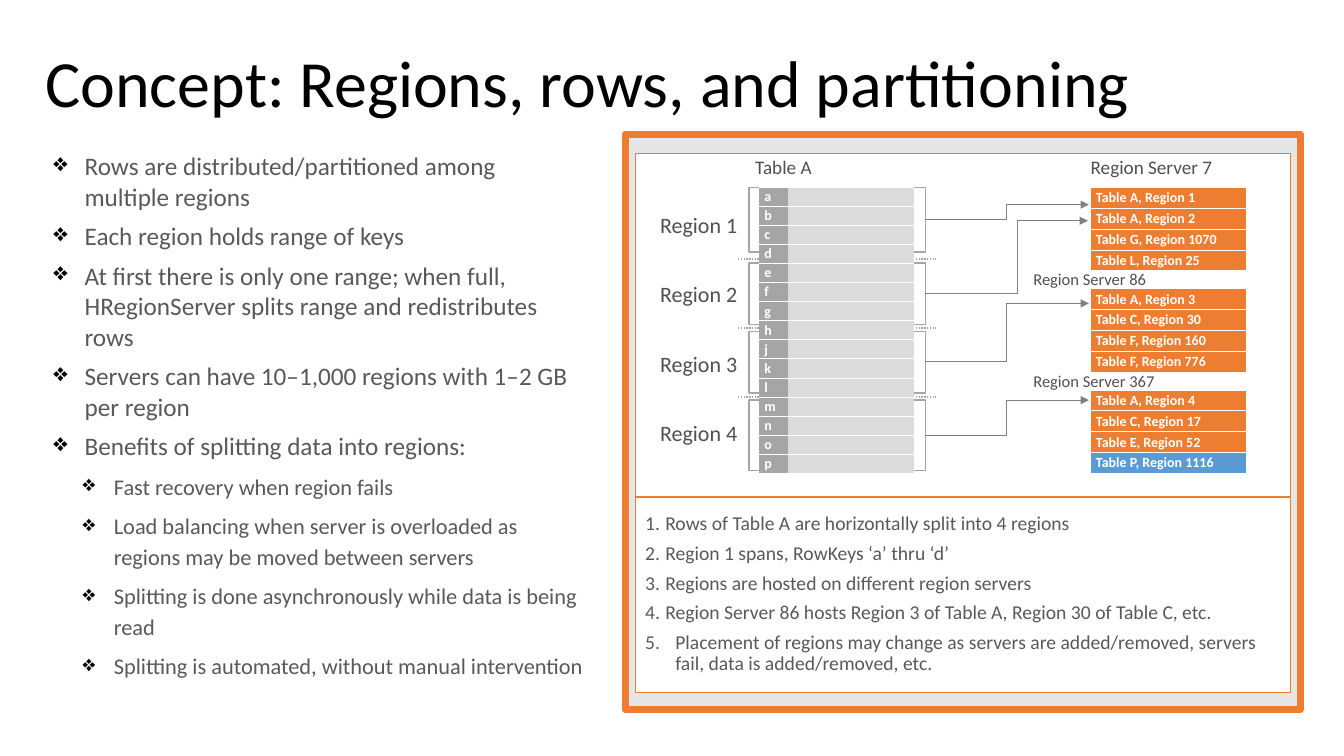
from lxml.etree import SubElement
from pptx import Presentation
from pptx.dml.color import RGBColor
from pptx.enum.dml import MSO_LINE
from pptx.enum.shapes import MSO_CONNECTOR as Link, MSO_SHAPE as Preset
from pptx.enum.text import MSO_ANCHOR as Anchor, PP_ALIGN as Align
from pptx.oxml import parse_xml
from pptx.oxml.ns import nsdecls, qn
from pptx.util import Inches, Pt

ORANGE, BLUE, WHITE, GREY = "ED7D31", "5B9BD5", "FFFFFF", "A5A5A5"
BODY, LABEL = "595959", "505050"


def colour(value):
    return RGBColor.from_string(value)


def grid(*cells):
    """Columns or rows of a grid with ten cells to the inch."""
    return [Inches(cell / 10) for cell in cells]


def assign(target, formats):
    for name, value in formats.items():
        setattr(target, name, value)


class SlideBuilder:
    font = "Calibri"

    def __init__(self, page):
        self.page = page

    def line(self, line, shade, width, dash=None):
        line.color.rgb = colour(shade)
        assign(line, {"width": Pt(width), "dash_style": dash})

    def panel(self, place, fill, edge, width):
        box = self.page.shapes.add_shape(Preset.RECTANGLE, *grid(*place))
        box.shadow.inherit = False
        box.fill.solid()
        box.fill.fore_color.rgb = colour(fill)
        self.line(box.line, edge, width)
        return box

    def frame(self, frame, margins, anchor=Anchor.TOP, wrap=True):
        left, top = grid(*margins)
        assign(frame, {"margin_left": left, "margin_right": left, "margin_top": top,
                       "margin_bottom": top, "vertical_anchor": anchor, "word_wrap": wrap})

    def add_span(self, para, text, size, shade, bold=False, **formats):
        assign(para, formats)
        span = para.add_run()
        span.text = text
        assign(span.font, {"name": self.font, "size": Pt(size), "bold": bold})
        span.font.color.rgb = colour(shade)

    def text(self, place, text, size, shade, margins=(0, 0), anchor=Anchor.MIDDLE,
             wrap=False, **formats):
        box = self.page.shapes.add_textbox(*grid(*place))
        self.frame(box.text_frame, margins, anchor, wrap)
        self.add_span(box.text_frame.paragraphs[0], text, size, shade, **formats)

    def bullets(self, box, items, margins, spacing, mark):
        """Each item holds a text, a size, a level, a left indent and a hang in columns."""
        frame = box.text_frame
        self.frame(frame, margins)
        for index, (text, size, level, indent, hang) in enumerate(items):
            para = frame.paragraphs[0] if index == 0 else frame.add_paragraph()
            properties = para._p.get_or_add_pPr()
            left, first = grid(indent, -hang)
            for name, value in {"marL": left, "indent": first}.items():
                properties.set(name, str(value))
            if mark:
                ink = SubElement(properties, qn("a:buClr"))
                SubElement(ink, qn("a:srgbClr"), val="000000")
                SubElement(properties, qn("a:buChar"), char=mark)
            else:
                SubElement(properties, qn("a:buAutoNum"), type="arabicPeriod")
            self.add_span(para, text, size, BODY, level=level, alignment=Align.LEFT,
                          line_spacing=spacing, space_after=Pt(6))

    def table(self, place, widths, rows, margins, anchor):
        """Each row is a list of (text, fill) pairs."""
        graphic = self.page.shapes.add_table(len(rows), len(widths), *grid(*place))
        table = graphic.table
        assign(table, {"first_row": False, "horz_banding": False})
        for column, width in zip(table.columns, grid(*widths)):
            column.width = width
        for row, values in zip(table.rows, rows):
            row.height, = grid(place[3] / len(rows))
            for cell, (text, fill) in zip(row.cells, values):
                left, top = grid(*margins)
                assign(cell, {"margin_left": left, "margin_right": left, "margin_top": top,
                              "margin_bottom": top, "vertical_anchor": anchor})
                cell.fill.solid()
                cell.fill.fore_color.rgb = colour(fill)
                para = cell.text_frame.paragraphs[0]
                if text:
                    self.add_span(para, text, 10, WHITE, bold=True)
                else:
                    SubElement(para._p, qn("a:endParaRPr"), sz="1000")
                self.borders(cell)

    def borders(self, cell):
        white = f'<a:solidFill><a:srgbClr val="{WHITE}"/></a:solidFill>'
        for index, side in enumerate("LRTB"):
            paint = white if side in "TB" else "<a:noFill/>"
            edge = parse_xml(f'<a:ln{side} {nsdecls("a")} w="{Pt(0.75)}">{paint}</a:ln{side}>')
            cell._tc.get_or_add_tcPr().insert(index, edge)

    def connector(self, kind, start, end, shade, width, dash=None, bend=None):
        link = self.page.shapes.add_connector(kind, *grid(*start, *end))
        self.line(link.line, shade, width, dash)
        properties = link._element.spPr
        SubElement(properties, qn("a:effectLst"))
        if bend:
            SubElement(properties.find(qn("a:ln")), qn("a:tailEnd"), type="triangle")
            guides = properties.find(qn("a:prstGeom")).get_or_add_avLst()
            SubElement(guides, qn("a:gd"), name="adj1", fmla=f"val {round(bend * 100000)}")


def main():
    deck = Presentation()
    deck.slide_width, deck.slide_height = grid(133.3, 75)
    page = deck.slides.add_slide(deck.slide_layouts[6])
    build = SlideBuilder(page)

    # Title
    build.text((2.9, 4, 117.6, 11), "Concept: Regions, rows, and partitioning", 47.1, "000000",
               margins=(1.6, 1), anchor=Anchor.TOP, wrap=True, line_spacing=0.9)

    # Panels of the diagram
    build.panel((62, 13.3, 67, 57.1), "E7E6E6", ORANGE, 5)
    build.panel((63, 15.2, 65, 34), WHITE, ORANGE, 0.5)

    # Regions with their names and the dotted lines between them
    for index, (top, height) in enumerate([(18.6, 6.4), (26.1, 6.1), (32.9, 6.1), (39.7, 7)]):
        build.panel((74.3, top, 17.5, height), WHITE, GREY, 1)
        build.text((65.2, 20.7 + 6.87 * index, 8.2, 3.2), f"Region {index + 1}", 15.7, LABEL,
                   alignment=Align.CENTER)
        if index:
            split = 18.85 + 6.85 * index
            build.connector(Link.STRAIGHT, (73.2, split), (92.8, split), GREY, 1,
                            MSO_LINE.ROUND_DOT)

    # Table A
    build.text((74.3, 15.2, 6.8, 2.7), "Table A", 13.7, LABEL, alignment=Align.CENTER)
    build.table((75.3, 18.6, 15.4, 28.4), (2.9, 12.5),
                [[(key, GREY), ("", "DBDBDB")] for key in "abcdefghjklmnop"],
                (0.5, 0.1), Anchor.TOP)

    # Region servers
    build.text((104.1, 15.2, 20.2, 2.7), "Region Server 7", 13.7, LABEL, alignment=Align.CENTER)
    for top, height, server in [(26.6, 2.1, 86), (36.4, 2.7, 367)]:
        build.text((102.5, top, 13.4, height), f"Region Server {server}", 11.8, LABEL)
    servers = [
        [("A", 1), ("A", 2), ("G", 1070), ("L", 25)],
        [("A", 3), ("C", 30), ("F", 160), ("F", 776)],
        [("A", 4), ("C", 17), ("E", 52), ("P", 1116)],
    ]
    for index, hosted in enumerate(servers):
        rows = [[(f"Table {name}, Region {number}", BLUE if name == "P" else ORANGE)]
                for name, number in hosted]
        build.table((108.2, 18.6 + 10.05 * index, 15.4, 8.2), (15.4,), rows,
                    (0.5, 0.2), Anchor.MIDDLE)

    # Arrows from regions to servers
    for start, tip, end, bend in [(21.8, 108, 20.3, 0.5), (29.1, 107.9, 21.9, 0.57),
                                  (35.9, 108, 30.1, 0.5), (43.2, 108, 39.7, 0.5)]:
        build.connector(Link.ELBOW, (91.7, start), (tip, end), "808080", 0.5, bend=bend)

    # Main points
    points = [
        "Rows are distributed/partitioned among multiple regions",
        "Each region holds range of keys",
        "At first there is only one range; when full, HRegionServer splits range and "
        "redistributes rows",
        "Servers can have 10–1,000 regions with 1–2 GB per region",
        "Benefits of splitting data into regions:",
    ]
    benefits = [
        "Fast recovery when region fails",
        "Load balancing when server is overloaded as regions may be moved between servers",
        "Splitting is done asynchronously while data is being read",
        "Splitting is automated, without manual intervention",
    ]
    items = [(text, 18, 0, 3.1, 3.1) for text in points]
    items += [(text, 16, 1, 6, 3.1) for text in benefits]
    box = page.shapes.add_textbox(*grid(3.3, 13.3, 56.6, 54.7))
    build.bullets(box, items, (2, 1.6), Pt(22), "❖")

    # Numbered notes below the diagram
    notes = [
        ("Rows of Table A are horizontally split into 4 regions", 2),
        ("Region 1 spans, RowKeys ‘a’ thru ‘d’", 2),
        ("Regions are hosted on different region servers", 2),
        ("Region Server 86 hosts Region 3 of Table A, Region 30 of Table C, etc.", 2),
        ("Placement of regions may change as servers are added/removed, servers fail, "
         "data is added/removed, etc.", 3),
    ]
    box = build.panel((63, 49.4, 65, 19.3), WHITE, ORANGE, 0.75)
    build.bullets(box, [(text, 14, 0, indent, 3) for text, indent in notes], (1, 1.6), 0.9, None)

    deck.save("out.pptx")


if __name__ == "__main__":
    main()
